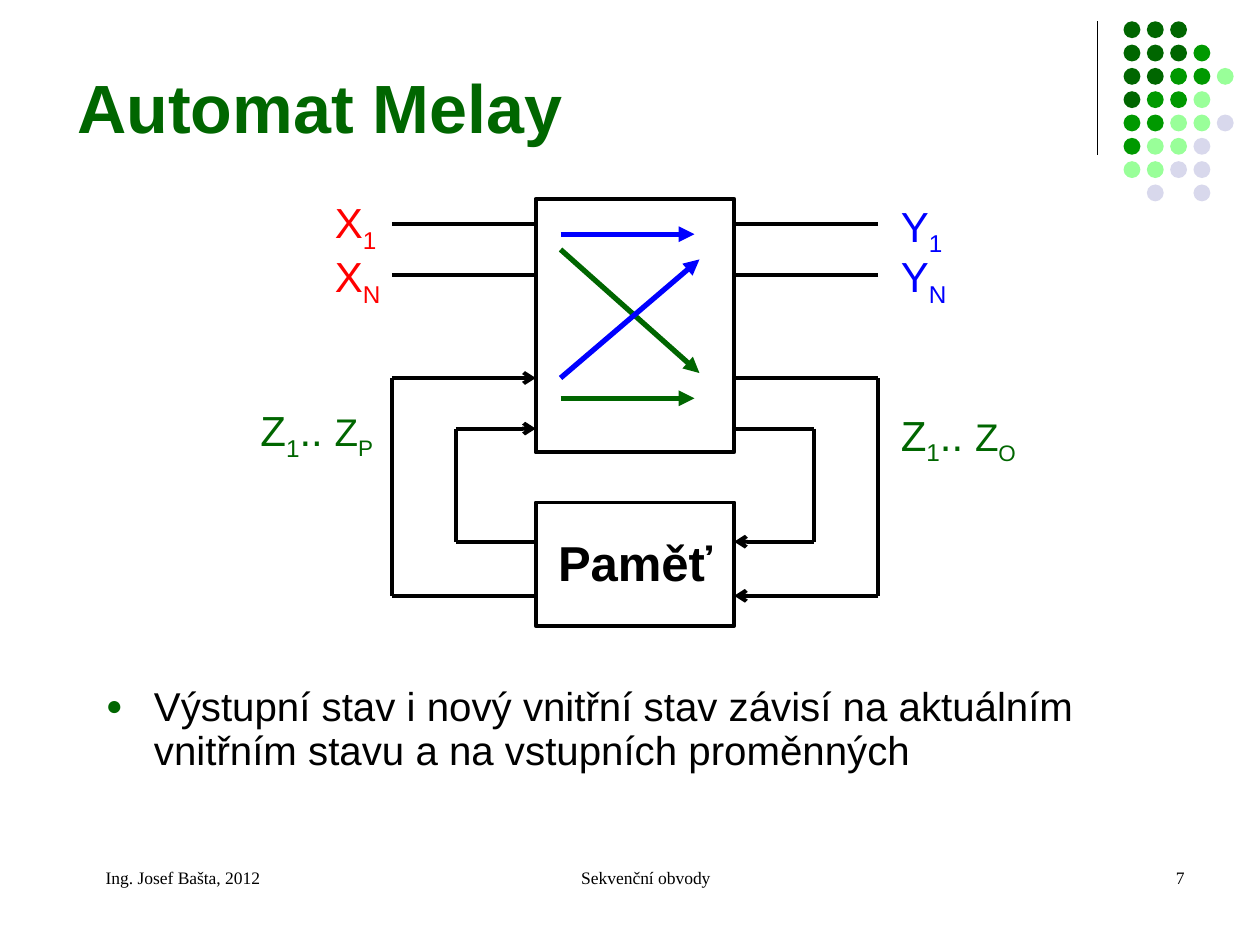
from pptx import Presentation
from pptx.dml.color import RGBColor
from pptx.enum.shapes import MSO_CONNECTOR, MSO_SHAPE
from pptx.enum.text import MSO_ANCHOR, MSO_AUTO_SIZE, PP_ALIGN
from pptx.oxml.ns import qn
from pptx.util import Cm, Pt
from lxml.etree import SubElement

BLACK, RED, BLUE, GREEN = "000000", "FF0000", "0000FF", "006600"
DOT_COLORS = {"D": GREEN, "M": "009900", "L": "99FF99", "P": "D8D8EC"}
DOT_ROWS = ["DDD", "DDDM", "DDMML", "DMML", "MMLLP", "MLLP", "LLPP", " P P"]


def color(value):
    return RGBColor.from_string(value)


def write(paragraph, text, size=24, ink=BLACK, font="Arial", bold=False, sub=False):
    run = paragraph.add_run()
    run.text = text
    run.font.size = Pt(size)
    run.font.name = font
    run.font.bold = bold
    run.font.color.rgb = color(ink)
    if sub:
        run._r.get_or_add_rPr().set("baseline", "-25000")


class Diagram:
    wire_width = 2.25

    def __init__(self, slide):
        self.slide = slide

    def place(self, holder, left, top, width, height):
        holder.left, holder.top = Cm(left), Cm(top)
        holder.width, holder.height = Cm(width), Cm(height)
        frame = holder.text_frame
        frame.word_wrap = True
        frame.auto_size = MSO_AUTO_SIZE.NONE
        paragraph = frame.paragraphs[0]
        paragraph.space_before = Pt(0)
        paragraph.alignment = PP_ALIGN.LEFT
        return frame, paragraph

    def title(self, text, *box):
        frame, paragraph = self.place(self.slide.shapes.title, *box)
        frame.vertical_anchor = MSO_ANCHOR.BOTTOM
        write(paragraph, text, size=39, ink=GREEN, bold=True)

    def bullet(self, text, *box):
        frame, paragraph = self.place(self.slide.placeholders[1], *box)
        frame.vertical_anchor = MSO_ANCHOR.TOP
        paragraph.line_spacing = 0.9
        properties = paragraph._p.get_or_add_pPr()
        properties.set("marL", str(Cm(0.97)))
        properties.set("indent", str(Cm(-0.97)))
        tint = SubElement(properties, qn("a:buClr"))
        SubElement(tint, qn("a:srgbClr"), val=GREEN)
        SubElement(properties, qn("a:buSzPct"), val="70000")
        SubElement(properties, qn("a:buFont"), typeface="Arial")
        SubElement(properties, qn("a:buChar"), char="●")
        write(paragraph, text, size=23)

    def label(self, parts, left, top, width, height=1.42, ink=BLACK):
        holder = self.slide.shapes.add_textbox(0, 0, 0, 0)
        paragraph = self.place(holder, left, top, width, height)[1]
        for text, style in parts:
            write(paragraph, text, ink=ink, **style)

    def footer(self, text, left, width, alignment):
        holder = self.slide.shapes.add_textbox(0, 0, 0, 0)
        frame, paragraph = self.place(holder, left, 17.35, width, 1.27)
        frame.margin_left = Cm(0.86)
        paragraph.alignment = alignment
        write(paragraph, text, size=10, font="Times New Roman")

    def block(self, left, top, width, height):
        rect = self.slide.shapes.add_shape(
            MSO_SHAPE.RECTANGLE, Cm(left), Cm(top), Cm(width), Cm(height))
        rect.shadow.inherit = False
        rect.fill.background()
        rect.line.color.rgb = color(BLACK)
        rect.line.width = Pt(self.wire_width)

    def dot(self, left, top, fill):
        circle = self.slide.shapes.add_shape(
            MSO_SHAPE.OVAL, Cm(left), Cm(top), Cm(0.34), Cm(0.34))
        circle.shadow.inherit = False
        circle.fill.solid()
        circle.fill.fore_color.rgb = color(fill)
        circle.line.fill.background()

    def wire(self, x1, y1, x2, y2, head=None, ink=BLACK, width=wire_width):
        line = self.slide.shapes.add_connector(
            MSO_CONNECTOR.STRAIGHT, Cm(x1), Cm(y1), Cm(x2), Cm(y2))
        line.line.color.rgb = color(ink)
        line.line.width = Pt(width)
        if head:
            SubElement(line.line._get_or_add_ln(), qn("a:tailEnd"), type=head)
        SubElement(line._element.spPr, qn("a:effectLst"))


def main():
    deck = Presentation()
    deck.slide_width, deck.slide_height = Cm(25.4), Cm(19.05)
    diagram = Diagram(deck.slides.add_slide(deck.slide_layouts[1]))

    diagram.wire(22.12, 0.43, 22.12, 3.12, width=0.75)
    for row, tones in enumerate(DOT_ROWS):
        for column, tone in enumerate(tones):
            if tone in DOT_COLORS:
                diagram.dot(22.65 + 0.47 * column, 0.43 + 0.47 * row, DOT_COLORS[tone])

    diagram.title("Automat Melay", 1.3, 0.91, 20.96, 2.18)
    diagram.bullet(
        "Výstupní stav i nový vnitřní stav závisí na aktuálním "
        "vnitřním stavu a na vstupních proměnných", 1.88, 13.72, 22.53, 3.3)

    diagram.block(10.8, 4.01, 4, 5.11)
    diagram.block(10.8, 10.13, 4, 2.49)
    diagram.label([("Paměť", {"size": 28, "bold": True})], 11, 10.62, 4)

    sides = [(10.8, 9.19, 7.9, "arrow", None), (14.8, 16.41, 17.7, None, "arrow")]
    for edge, inner, outer, logic_head, memory_head in sides:
        for y in (4.52, 5.54):
            diagram.wire(outer, y, edge, y)
        for rail, top, bottom in ((outer, 7.62, 12.01), (inner, 8.64, 10.92)):
            diagram.wire(rail, top, rail, bottom)
            diagram.wire(rail, top, edge, top, logic_head)
            diagram.wire(rail, bottom, edge, bottom, memory_head)

    signals = [("X", "1", 6.5, 3.84, RED), ("X", "N", 6.5, 4.93, RED),
               ("Y", "1", 17.91, 3.91, BLUE), ("Y", "N", 17.91, 4.93, BLUE)]
    for letter, index, left, top, ink in signals:
        diagram.label([(letter, {}), (index, {"sub": True})], left, top, 1.5, ink=ink)

    for index, left, top in (("P", 5, 8.03), ("O", 17.91, 8.13)):
        diagram.label(
            [("Z", {}), ("1", {"sub": True}), (".. ", {}),
             ("Z", {"size": 22}), (index, {"size": 22, "sub": True})],
            left, top, 3, ink=GREEN)

    paths = [(8.03, 14, 8.03, GREEN), (5.03, 14.1, 7.52, GREEN),
             (7.62, 14.1, 5.23, BLUE), (4.72, 14, 4.72, BLUE)]
    for start_y, end_x, end_y, ink in paths:
        diagram.wire(11.3, start_y, end_x, end_y, "triangle", ink, 3)

    diagram.footer("Sekvenční obvody", 8.69, 8.05, PP_ALIGN.CENTER)
    diagram.footer("7", 18.21, 5.92, PP_ALIGN.RIGHT)
    diagram.footer("Ing. Josef Bašta, 2012", 1.27, 5.92, PP_ALIGN.LEFT)
    deck.save("out.pptx")


if __name__ == "__main__":
    main()
